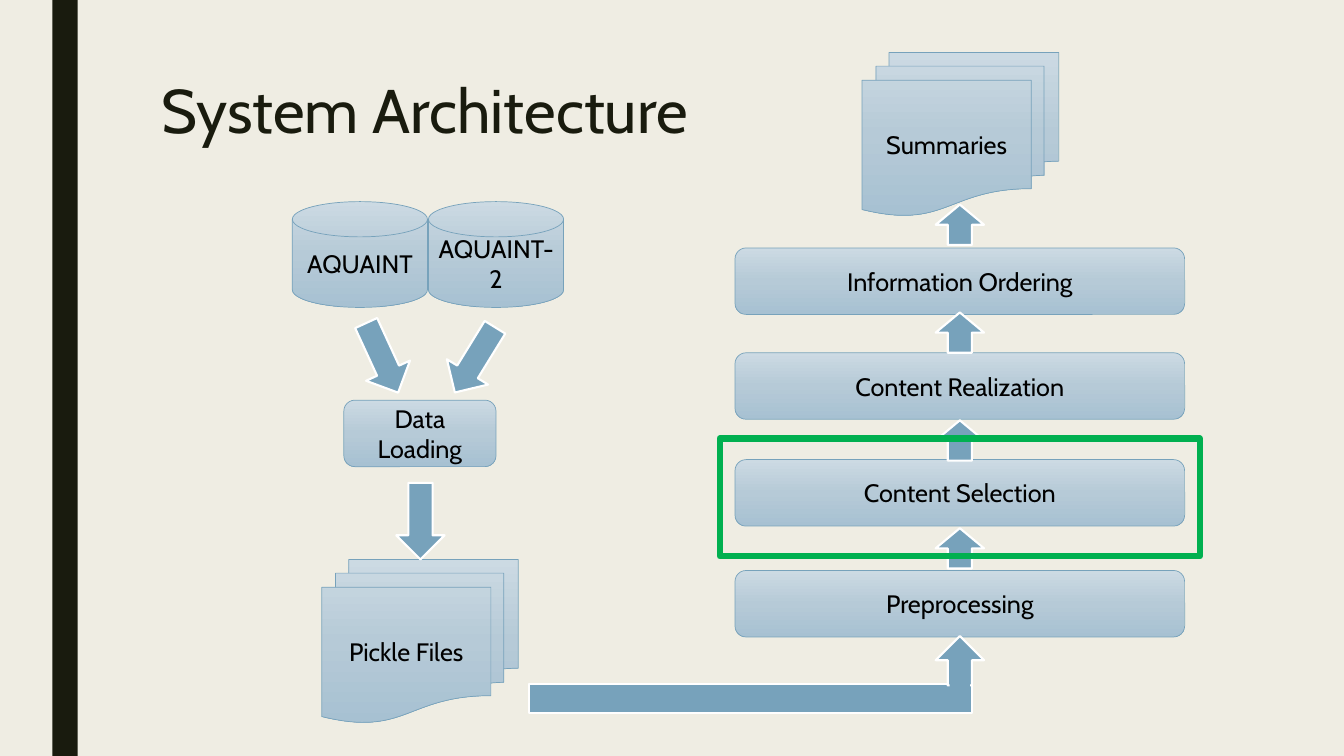
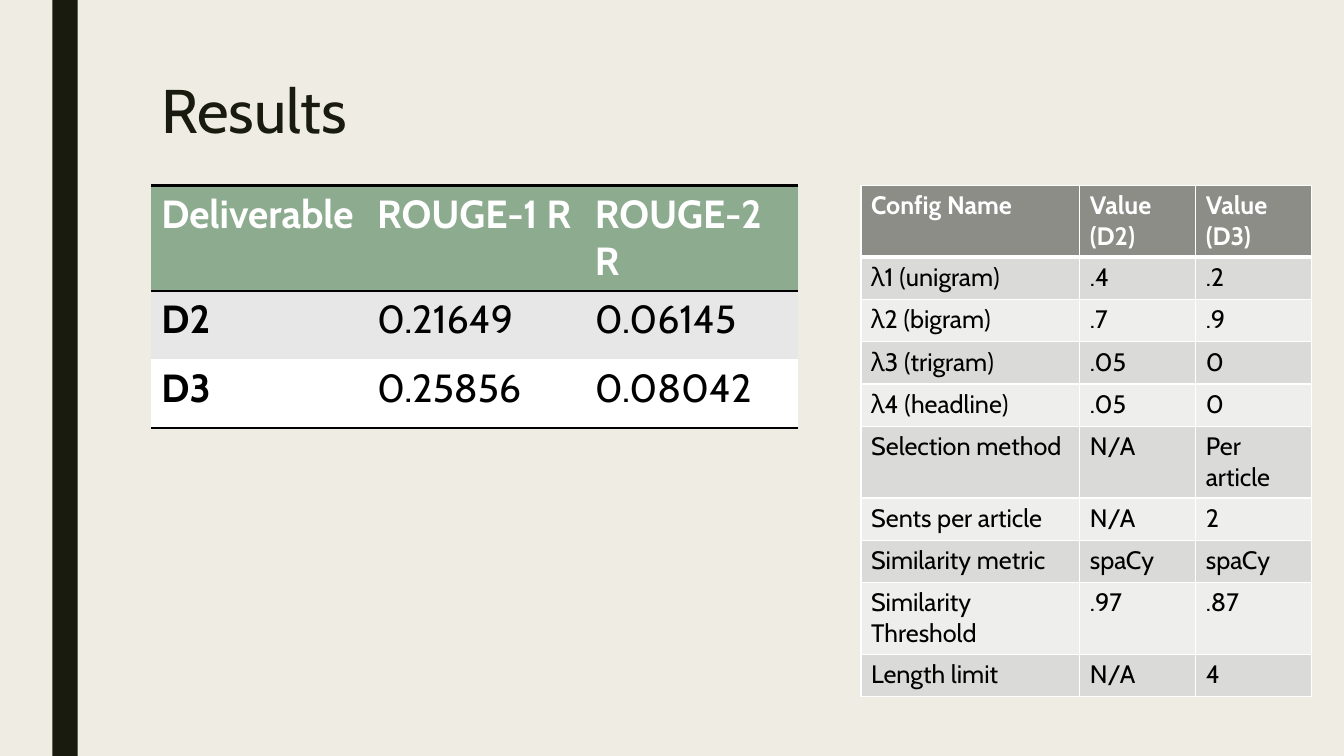
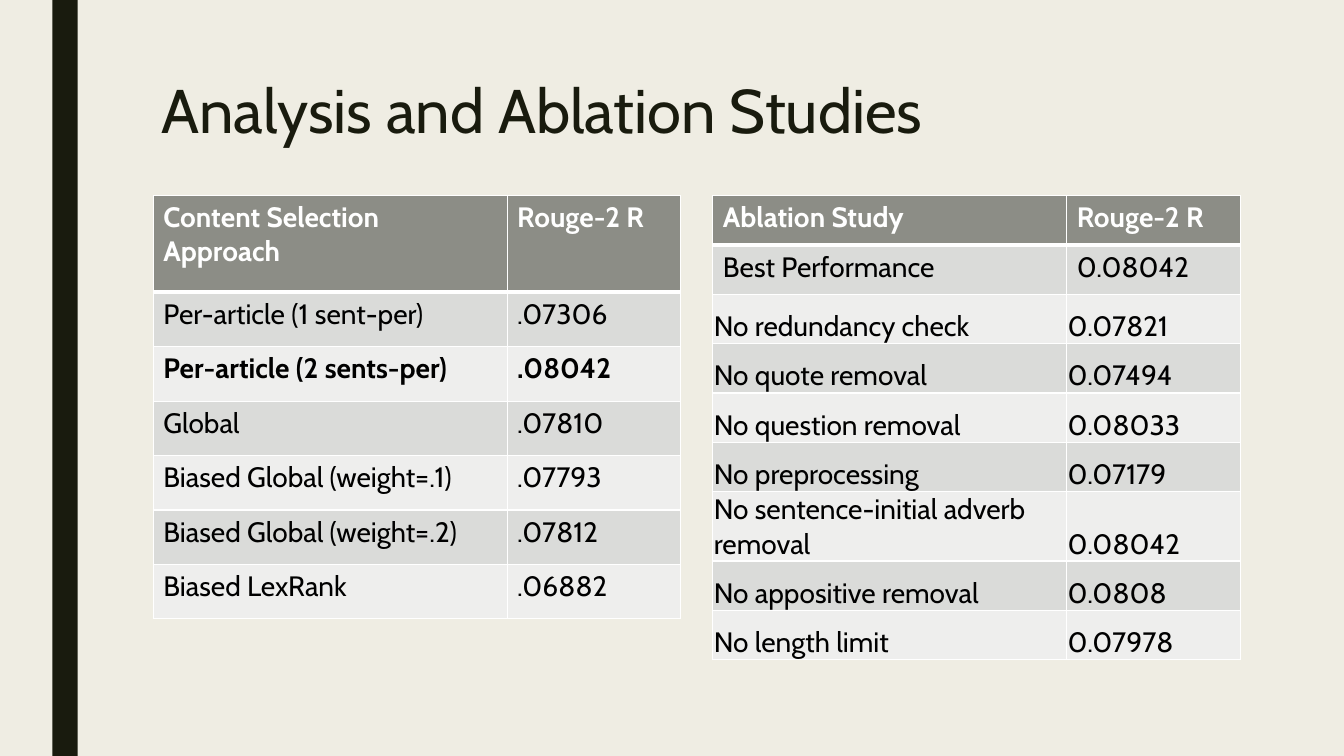
import copy

import lxml.etree
import pptx
import pptx.dml.color
import pptx.enum.shapes
import pptx.enum.text
import pptx.oxml.ns
import pptx.util

Inches = pptx.util.Inches
Pt = pptx.util.Pt
RGBColor = pptx.dml.color.RGBColor
SHAPE = pptx.enum.shapes.MSO_SHAPE
ANCHOR = pptx.enum.text.MSO_ANCHOR
qn = pptx.oxml.ns.qn

FONT = "Cabin"
CREAM = RGBColor(0xEF, 0xED, 0xE3)
INK = RGBColor(0x19, 0x1B, 0x0E)
BLACK = RGBColor(0, 0, 0)
WHITE = RGBColor(0xFF, 0xFF, 0xFF)
BLUE = RGBColor(0x77, 0xA2, 0xBB)
BLUE_STOPS = [
    (0, RGBColor(0xCC, 0xDA, 0xE3)),
    (0.5, RGBColor(0xB6, 0xCA, 0xD7)),
    (1, RGBColor(0xA7, 0xC1, 0xD2)),
]
HIGHLIGHT_GREEN = RGBColor(0, 0xB0, 0x50)
HEADER_GREEN = RGBColor(0x8D, 0xAB, 0x8E)
HEADER_GRAY = RGBColor(0x8C, 0x8D, 0x86)
GRAY_BANDS = [RGBColor(0xDA, 0xDB, 0xD9), RGBColor(0xEE, 0xEE, 0xED)]
PLAIN_BANDS = [RGBColor(0xE7, 0xE7, 0xE7), WHITE]
NO_TABLE_STYLE = "{2D5ABB26-0587-4C30-8999-92F81FD0307C}"


def add_part(slide, kind, left, top, width, height, text=""):
    """Add a diagram shape: gradient with a label, or flat blue edged in white."""
    shape = slide.shapes.add_shape(
        kind, Inches(left), Inches(top), Inches(width), Inches(height))
    shape.shadow.inherit = False
    if not text:
        shape.fill.solid()
        shape.fill.fore_color.rgb = BLUE
        shape.line.color.rgb = WHITE
        shape.line.width = Pt(1.5)
        return shape
    shape.fill.gradient()
    shape.fill.gradient_angle = 270
    stop_list = shape.element.find(".//" + qn("a:gsLst"))
    stop_list.insert(1, copy.deepcopy(stop_list[0]))
    for stop, (position, color) in zip(shape.fill.gradient_stops, BLUE_STOPS):
        stop.position = position
        stop.color.rgb = color
    shape.line.color.rgb = BLUE
    shape.line.width = Pt(0.5)
    shape.text_frame.text = text
    paragraph = shape.text_frame.paragraphs[0]
    paragraph.alignment = pptx.enum.text.PP_ALIGN.CENTER
    font = paragraph.runs[0].font
    font.name, font.size, font.color.rgb = FONT, Pt(18), BLACK
    return shape


def add_banded_table(slide, left, top, widths, heights, rows, size,
                     header_fill=HEADER_GRAY, bands=GRAY_BANDS, grid=True):
    """Add a table with a white grid, or with black horizontal rules only."""
    table = slide.shapes.add_table(
        len(rows), len(widths), Inches(left), Inches(top),
        Inches(sum(widths)), Inches(sum(heights))).table
    table.first_row = table.horz_banding = False
    table._tbl.tblPr.find(qn("a:tableStyleId")).text = NO_TABLE_STYLE
    for column, width in zip(table.columns, widths):
        column.width = Inches(width)
    for row_index, (row, height) in enumerate(zip(rows, heights)):
        table.rows[row_index].height = Inches(height)
        under_header = {0: "B", 1: "T"}.get(row_index)
        if grid:
            borders = {side: 3 if side == under_header else 1 for side in "LRTB"}
        else:
            ruled = {0: "TB", 1: "T", len(rows) - 1: "B"}.get(row_index, "")
            borders = {side: 2 if side in ruled else 0 for side in "LRTB"}
        for column_index, text in enumerate(row):
            cell = table.cell(row_index, column_index)
            properties = cell._tc.get_or_add_tcPr()
            for side, width in borders.items():
                line = lxml.etree.SubElement(
                    properties, qn("a:ln" + side), w=str(Pt(width)))
                if width:
                    fill = lxml.etree.SubElement(line, qn("a:solidFill"))
                    lxml.etree.SubElement(
                        fill, qn("a:srgbClr"), val=str(WHITE if grid else BLACK))
                else:
                    lxml.etree.SubElement(line, qn("a:noFill"))
            is_header = row_index == 0
            cell.fill.solid()
            cell.fill.fore_color.rgb = (
                header_fill if is_header else bands[(row_index - 1) % 2])
            cell.text_frame.text = text
            font = cell.text_frame.paragraphs[0].runs[0].font
            font.name, font.size, font.bold = FONT, Pt(size), is_header
            font.color.rgb = WHITE if is_header else BLACK
    return table


presentation = pptx.Presentation()
presentation.slide_width = Inches(13.33)
presentation.slide_height = Inches(7.5)

# Shared look: background, title style and side band live on the layout
layout = presentation.slide_layouts[5]
layout.background.fill.solid()
layout.background.fill.fore_color.rgb = CREAM
for placeholder in list(layout.placeholders):
    if placeholder.placeholder_format.idx != 0:
        placeholder.element.getparent().remove(placeholder.element)
layout_title = layout.placeholders[0]
layout_title.left, layout_title.top = Inches(1.5), Inches(0.75)
layout_title.width, layout_title.height = Inches(10.5), Inches(1.62)
layout_title.text_frame.vertical_anchor = ANCHOR.TOP

architecture, results, analysis = [
    presentation.slides.add_slide(layout) for _ in range(3)]
for slide, title in [(architecture, "System Architecture"),
                     (results, "Results"),
                     (analysis, "Analysis and Ablation Studies")]:
    slide.shapes.title.text_frame.text = title
    paragraph = slide.shapes.title.text_frame.paragraphs[0]
    paragraph.alignment = pptx.enum.text.PP_ALIGN.LEFT
    paragraph.line_spacing = 0.89
    font = paragraph.runs[0].font
    font.name, font.size, font.color.rgb = FONT, Pt(44), INK

band = add_part(architecture, SHAPE.RECTANGLE, 0.52, 0, 0.25, 7.5)
band.fill.fore_color.rgb = INK
band.line.fill.background()
layout.shapes.element.append(band.element)

# System architecture
for left, corpus in [(4.25, "AQUAINT-2"), (2.9, "AQUAINT")]:
    add_part(architecture, SHAPE.FLOWCHART_MAGNETIC_DISK, left, 2, 1.34, 1.05, corpus)
for left, top, files in [(3.19, 5.55, "Pickle Files"), (8.55, 0.52, "Summaries")]:
    add_part(architecture, SHAPE.FLOWCHART_MULTIDOCUMENT, left, top, 1.95, 1.62, files)
add_part(architecture, SHAPE.ROUNDED_RECTANGLE, 3.41, 3.97, 1.51, 0.66, "Data Loading")
for top, stage in [(5.66, "Preprocessing"), (4.56, "Content Selection"),
                   (3.5, "Content Realization"), (2.46, "Information Ordering")]:
    add_part(architecture, SHAPE.ROUNDED_RECTANGLE, 7.29, top, 4.46, 0.66, stage)

for index in range(4):
    add_part(architecture, SHAPE.UP_ARROW, 9.28, 2.03 + 1.07 * index, 0.48, 0.4)
for left, top, rotation in [(3.55, 3.17, 155.3), (4.47, 3.19, 211.6), (3.93, 4.79, 180)]:
    arrow = add_part(architecture, SHAPE.UP_ARROW, left, top, 0.48, 0.76)
    arrow.rotation = rotation

add_part(architecture, SHAPE.RECTANGLE, 5.25, 6.79, 4.39, 0.28)
add_part(architecture, SHAPE.UP_ARROW, 9.28, 6.31, 0.48, 0.49)
elbow_joint = add_part(architecture, SHAPE.RECTANGLE, 9.42, 6.7, 0.2, 0.32)
elbow_joint.line.fill.background()
highlight = add_part(architecture, SHAPE.RECTANGLE, 7.14, 4.35, 4.76, 1.17)
highlight.fill.background()
highlight.line.color.rgb = HIGHLIGHT_GREEN
highlight.line.width = Pt(4.5)

# Results
scores = add_banded_table(
    results, 1.5, 1.84, [2.14, 2.16, 2.12], [0.68] * 3,
    [("Deliverable", "ROUGE-1 R", "ROUGE-2 R"),
     ("D2", "0.21649", "0.06145"),
     ("D3", "0.25856", "0.08042")],
    28, HEADER_GREEN, PLAIN_BANDS, grid=False)
add_banded_table(
    results, 8.54, 1.84, [2.17, 1.15, 1.15], [0.42] * 10,
    [("Config Name", "Value (D2)", "Value (D3)"),
     ("λ1 (unigram)", ".4", ".2"),
     ("λ2 (bigram)", ".7", ".9"),
     ("λ3 (trigram)", ".05", "0"),
     ("λ4 (headline)", ".05", "0"),
     ("Selection method", "N/A", "Per article"),
     ("Sents per article", "N/A", "2"),
     ("Similarity metric", "spaCy", "spaCy"),
     ("Similarity Threshold", ".97", ".87"),
     ("Length limit", "N/A", "4")],
    18)

# Analysis and ablation studies
approaches = add_banded_table(
    analysis, 1.52, 1.94, [3.51, 1.72], [0.96] + [0.54] * 6,
    [("Content Selection Approach", "Rouge-2 R"),
     ("Per-article (1 sent-per)", ".07306"),
     ("Per-article (2 sents-per)", ".08042"),
     ("Global", ".07810"),
     ("Biased Global (weight=.1)", ".07793"),
     ("Biased Global (weight=.2)", ".07812"),
     ("Biased LexRank", ".06882")],
    20)
ablations = add_banded_table(
    analysis, 7.07, 1.94, [3.51, 1.72], [0.49] * 9,
    [("Ablation Study", "Rouge-2 R"),
     ("Best Performance", "0.08042"),
     ("No redundancy check", "0.07821"),
     ("No quote removal", "0.07494"),
     ("No question removal", "0.08033"),
     ("No preprocessing", "0.07179"),
     ("No sentence-initial adverb removal", "0.08042"),
     ("No appositive removal", "0.0808"),
     ("No length limit", "0.07978")],
    20)

for cell in [scores.cell(1, 0), scores.cell(2, 0),
             approaches.cell(2, 0), approaches.cell(2, 1)]:
    cell.text_frame.paragraphs[0].runs[0].font.bold = True
for row_index in range(2, 9):
    for column_index in range(2):
        cell = ablations.cell(row_index, column_index)
        cell.vertical_anchor = ANCHOR.BOTTOM
        cell.margin_left = cell.margin_right = cell.margin_top = Inches(0.01)
        cell.margin_bottom = 0

presentation.save("out.pptx")
